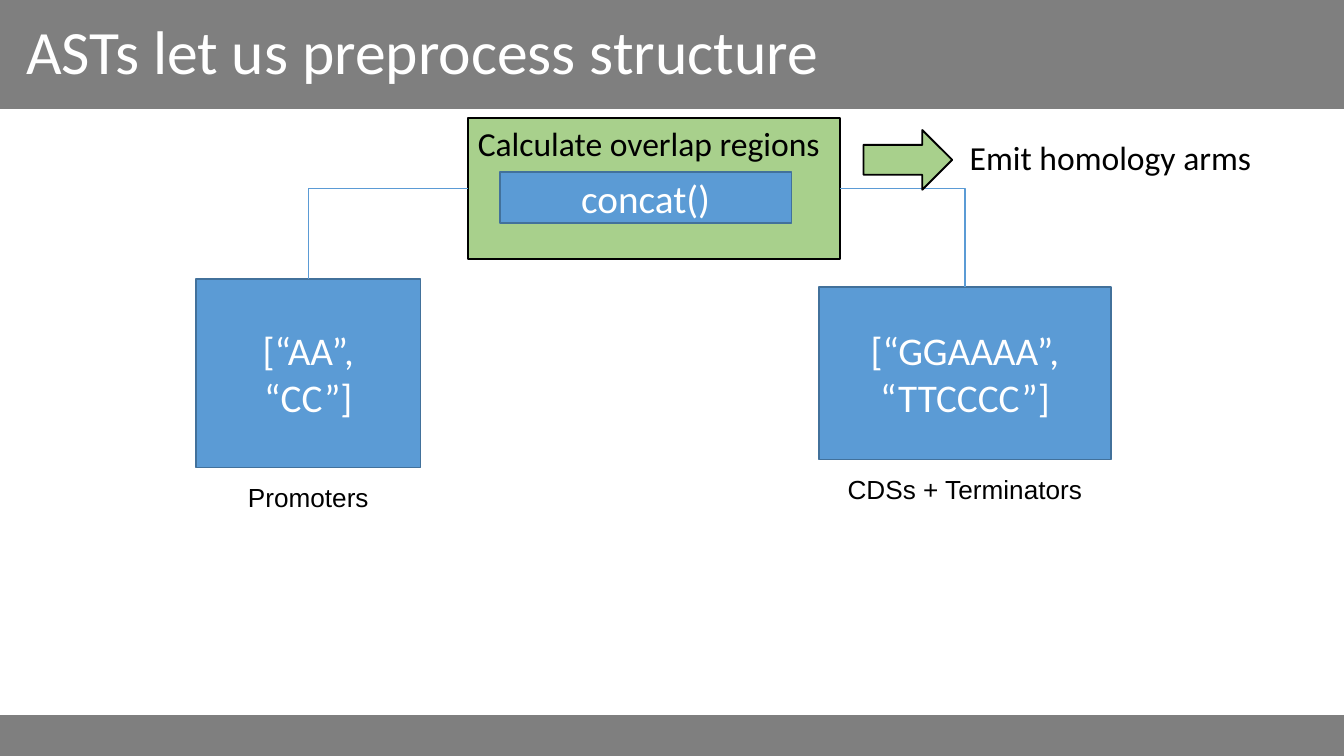
import pptx
import pptx.dml.color
import pptx.enum.shapes
import pptx.enum.text
import pptx.oxml.ns
import pptx.util
from dataclasses import dataclass
from lxml import etree

SHAPE = pptx.enum.shapes.MSO_SHAPE
ALIGN = pptx.enum.text.PP_ALIGN
ANCHOR = pptx.enum.text.MSO_ANCHOR
WIDTH = pptx.util.Inches(10)
HEIGHT = WIDTH * 9 // 16


@dataclass(frozen=True)
class Theme:
    bar: str = "7F7F7F"
    node: str = "5B9BD5"
    node_edge: str = "42719B"
    step: str = "A8D08C"
    dark: str = "000000"
    light: str = "FFFFFF"
    font: str = "Calibri"
    caption_font: str = "Arial"
    title_size: int = 33
    node_size: int = 21
    step_size: int = 18
    caption_size: int = 14


THEME = Theme()


def rgb(code):
    return pptx.dml.color.RGBColor.from_string(code)


def place(x, y, w, h):
    """Turn percentages of the slide's width and height into lengths."""
    return [round(share * side / 100)
            for share, side in zip((x, y, w, h), (WIDTH, HEIGHT) * 2)]


def write(s, text, size, color, font=THEME.font, align=ALIGN.LEFT,
          anchor=ANCHOR.TOP, insets=(5.4, 2.7)):
    """Fill a shape with text; insets are points at the sides and at top and bottom."""
    tf = s.text_frame
    tf.text = text
    tf.word_wrap = True
    tf.vertical_anchor = anchor
    tf.margin_left = tf.margin_right = pptx.util.Pt(insets[0])
    tf.margin_top = tf.margin_bottom = pptx.util.Pt(insets[1])
    for p in tf.paragraphs:
        p.alignment = align
        for r in p.runs:
            r.font.name = font
            r.font.size = pptx.util.Pt(size)
            r.font.color.rgb = rgb(color)
    return tf


def add_block(slide, box, fill, edge=None, kind=SHAPE.RECTANGLE):
    s = slide.shapes.add_shape(kind, *place(*box))
    s.shadow.inherit = False
    s.fill.solid()
    s.fill.fore_color.rgb = rgb(fill)
    if edge:
        s.line.color.rgb = rgb(edge)
        s.line.width = pptx.util.Pt(1)
    else:
        s.line.fill.background()
    return s


def add_node(slide, box, text):
    s = add_block(slide, box, THEME.node, THEME.node_edge)
    write(s, text, THEME.node_size, THEME.light,
          align=ALIGN.CENTER, anchor=ANCHOR.MIDDLE)
    return s


def add_text(slide, box, text, size, color=THEME.dark, **style):
    return write(slide.shapes.add_textbox(*place(*box)), text, size, color, **style)


def add_leaf(slide, box, text, caption):
    """A node with its caption directly below."""
    x, y, w, h = box
    add_text(slide, (x, y + h, w, 7.3), caption, THEME.caption_size,
             font=THEME.caption_font, align=ALIGN.CENTER, insets=(7.2, 7.2))
    return add_node(slide, box, text)


def add_branch(slide, parent, side, leaf):
    """A one-bend connector from a side of the parent to the leaf's top."""
    c = slide.shapes.add_connector(
        pptx.enum.shapes.MSO_CONNECTOR.ELBOW, 0, 0, 0, 0)
    c.begin_connect(parent, side)
    c.end_connect(leaf, 0)
    c.line.color.rgb = rgb(THEME.node)
    c.line.width = pptx.util.Pt(0.75)
    sp_pr = c._element.spPr
    sp_pr.find(pptx.oxml.ns.qn("a:prstGeom")).set("prst", "bentConnector2")
    etree.SubElement(sp_pr, pptx.oxml.ns.qn("a:effectLst"))


def main():
    prs = pptx.Presentation()
    prs.slide_width, prs.slide_height = WIDTH, HEIGHT
    slide = prs.slides.add_slide(prs.slide_layouts[6])

    # Bars and title
    add_block(slide, (0, 94.6, 100, 5.4), THEME.bar)
    add_block(slide, (0, 0, 100, 14.4), THEME.bar)
    tf = add_text(slide, (1.2, 0, 97.7, 14.4), "ASTs let us preprocess structure",
                  THEME.title_size, THEME.light, anchor=ANCHOR.MIDDLE)
    tf.paragraphs[0].line_spacing = 0.9

    # Tree: the root inside its processing step, and two leaves
    step = add_block(slide, (34.8, 15.6, 27.7, 18.7), THEME.step, THEME.dark)
    add_node(slide, (37.2, 22.75, 21.7, 6.8), "concat()")
    promoters = add_leaf(slide, (14.6, 36.95, 16.7, 24.9), "[“AA”,\n“CC”]", "Promoters")
    sequences = add_leaf(slide, (60.95, 38, 21.7, 22.8), "[“GGAAAA”,\n“TTCCCC”]",
                         "CDSs + Terminators")
    add_branch(slide, step, 1, promoters)
    add_branch(slide, step, 3, sequences)

    # Step label and its output
    add_text(slide, (34.8, 15.6, 27.7, 6.8), "Calculate overlap regions",
             THEME.step_size)
    add_block(slide, (64.25, 17.2, 6.6, 7.9), THEME.step, THEME.dark,
              SHAPE.RIGHT_ARROW)
    add_text(slide, (71.4, 17.4, 22.5, 6.8), "Emit homology arms", THEME.step_size)

    prs.save("out.pptx")


if __name__ == "__main__":
    main()
